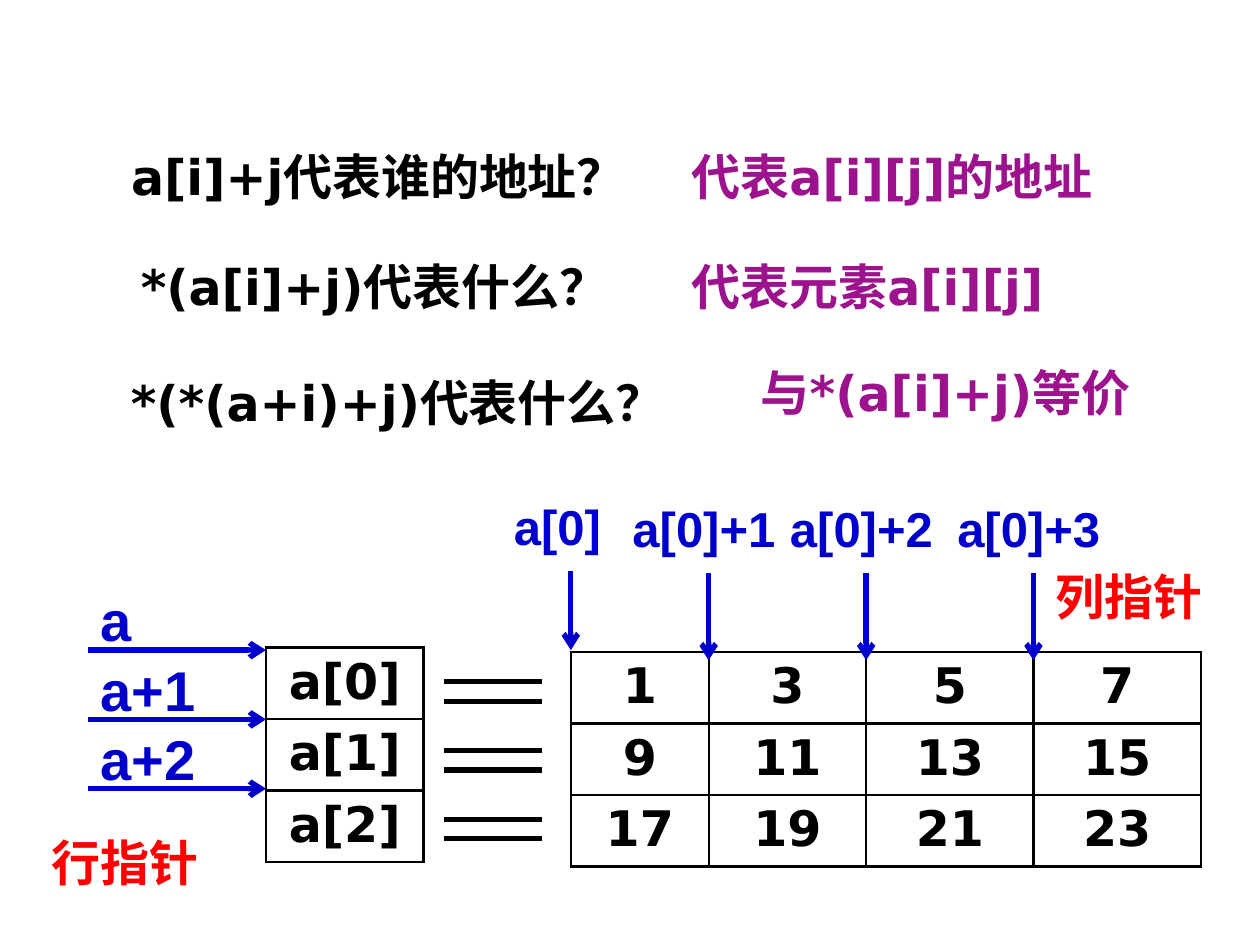
"""Build a slide on row and column pointers of a two-dimensional array."""
from dataclasses import dataclass
from itertools import accumulate

from lxml.etree import SubElement
from pptx import Presentation
from pptx.dml.color import RGBColor as Color
from pptx.enum.shapes import MSO_CONNECTOR as Connector
from pptx.enum.text import MSO_ANCHOR as Anchor, MSO_AUTO_SIZE as AutoSize, PP_ALIGN as Align
from pptx.oxml.ns import qn
from pptx.util import Pt


@dataclass(frozen=True)
class Theme:
    black: Color = Color(0, 0, 0)
    white: Color = Color(255, 255, 255)
    blue: Color = Color(0, 0, 0xCC)
    red: Color = Color(255, 0, 0)
    purple: Color = Color(0x9D, 0x13, 0x8D)
    code_font: str = "DejaVu Sans"
    label_font: str = "Arial"
    size: Pt = Pt(28)
    large: Pt = Pt(32)
    line: Pt = Pt(3)
    border: Pt = Pt(1.47)


theme = Theme()


def write(frame, text, color, name, size=theme.size, align=Align.LEFT):
    frame.word_wrap = True
    para = frame.paragraphs[0]
    para.alignment = align
    span = para.add_run()
    span.text = text
    span.font.color.rgb = color
    for key, value in {"name": name, "size": size, "bold": True}.items():
        setattr(span.font, key, value)
    return para


def draw_line(start, end, color, arrow=False):
    line = page.shapes.add_connector(Connector.STRAIGHT, *map(Pt, start + end))
    line.line.color.rgb = color
    line.line.width = theme.line
    if arrow:
        SubElement(line.line._get_or_add_ln(), qn("a:tailEnd"), type="arrow")
    SubElement(line._element.spPr, qn("a:effectLst"))


deck = Presentation()
deck.slide_width, deck.slide_height = Pt(720), Pt(540)
page = deck.slides.add_slide(deck.slide_layouts[1])
title = page.shapes.title
title._element.getparent().remove(title._element)
body = page.placeholders[1]

statements = [
    ("a[i]+j代表谁的地址？", 67.7, 73.4, 315.4, theme.black),
    ("代表a[i][j]的地址", 388.1, 73.4, 270, theme.purple),
    ("*(a[i]+j)代表什么？", 73.4, 136.1, 314.6, theme.black),
    ("代表元素a[i][j]", 388.1, 136.1, 270, theme.purple),
    ("*(*(a+i)+j)代表什么？", 67.7, 202.3, 348.5, theme.black),
    ("与*(a[i]+j)等价", 427.7, 196.6, 264.2, theme.purple),
]
for index, (text, left, top, width, color) in enumerate(statements):
    box = page.shapes.add_textbox(0, 0, 0, 0) if index else body
    place = {"left": left, "top": top, "width": width, "height": 56.2}
    for key, value in place.items():
        setattr(box, key, Pt(value))
    box.text_frame.auto_size = AutoSize.NONE
    para = write(box.text_frame, text, color, theme.code_font)
    para.line_spacing = 1.2
    para.space_before = Pt(0)
    props = para._p.get_or_add_pPr()
    props.set("marL", str(Pt(27)))
    props.set("indent", str(Pt(-27)))
    SubElement(props, qn("a:buNone"))

row_height = 40.85
array_left, array_top = 326.2, 372.6
array_widths = [78.75, 90, 95.6, 95.6]
rows_left, rows_top = 152, 370
values = [[str(8 * row + 2 * column + 1) for column in range(4)] for row in range(3)]
row_names = [[f"a[{row}]"] for row in range(3)]

tables = [
    (values, array_left, array_top, array_widths),
    (row_names, rows_left, rows_top, [90]),
]
for entries, left, top, widths in tables:
    place = map(Pt, (left, top, sum(widths), row_height * len(entries)))
    table = page.shapes.add_table(len(entries), len(widths), *place).table
    table.first_row = table.horz_banding = False
    for column, width in zip(table.columns, widths):
        column.width = Pt(width)
    for row, texts in zip(table.rows, entries):
        row.height = Pt(row_height)
        for cell, text in zip(row.cells, texts):
            write(cell.text_frame, text, theme.black, theme.code_font, align=Align.CENTER)
            cell.vertical_anchor = Anchor.TOP
            props = cell._tc.get_or_add_tcPr()
            for side in ("lnL", "lnR", "lnT", "lnB"):
                edge = SubElement(props, qn(f"a:{side}"), w=str(theme.border))
                fill = SubElement(edge, qn("a:solidFill"))
                SubElement(fill, qn("a:srgbClr"), val=str(theme.black))
            cell.fill.solid()
            cell.fill.fore_color.rgb = theme.white

for row in range(3):
    for offset in (0, 11.2):
        y = 389.5 + 39.3 * row + offset
        draw_line((253.5, y), (309.6, y), theme.black)

labels = [
    ("行指针", 22.3, 472.3, 106.6, theme.red, theme.size),
    ("列指针", 596.2, 320.4, 106.6, theme.red, theme.size),
]
for row, text in enumerate(("a", "a+1", "a+2")):
    step = 39.6 * row
    labels.append((text, 50.4, 331.2 + step, 90, theme.blue, theme.large))
    draw_line((50.4, 371.5 + step), (rows_left, 371.5 + step), theme.blue, arrow=True)

edges = accumulate(array_widths[:-1], initial=array_left)
for column, (x, text) in enumerate(zip(edges, ("a[0]", "a[0]+1", "a[0]+2", "a[0]+3"))):
    shift, lift, width = (50.6, 0, 129.6) if column else (39.6, 1.4, 84.2)
    labels.append((text, x - shift, 281.5 - lift, width, theme.blue, theme.size))
    draw_line((x, 327.6 - lift), (x, 377.3 if column else 371.5), theme.blue, arrow=True)

for text, left, top, width, color, size in labels:
    height = 46.1 if size == theme.large else 41
    box = page.shapes.add_textbox(*map(Pt, (left, top, width, height)))
    write(box.text_frame, text, color, theme.label_font, size)

deck.save("out.pptx")
